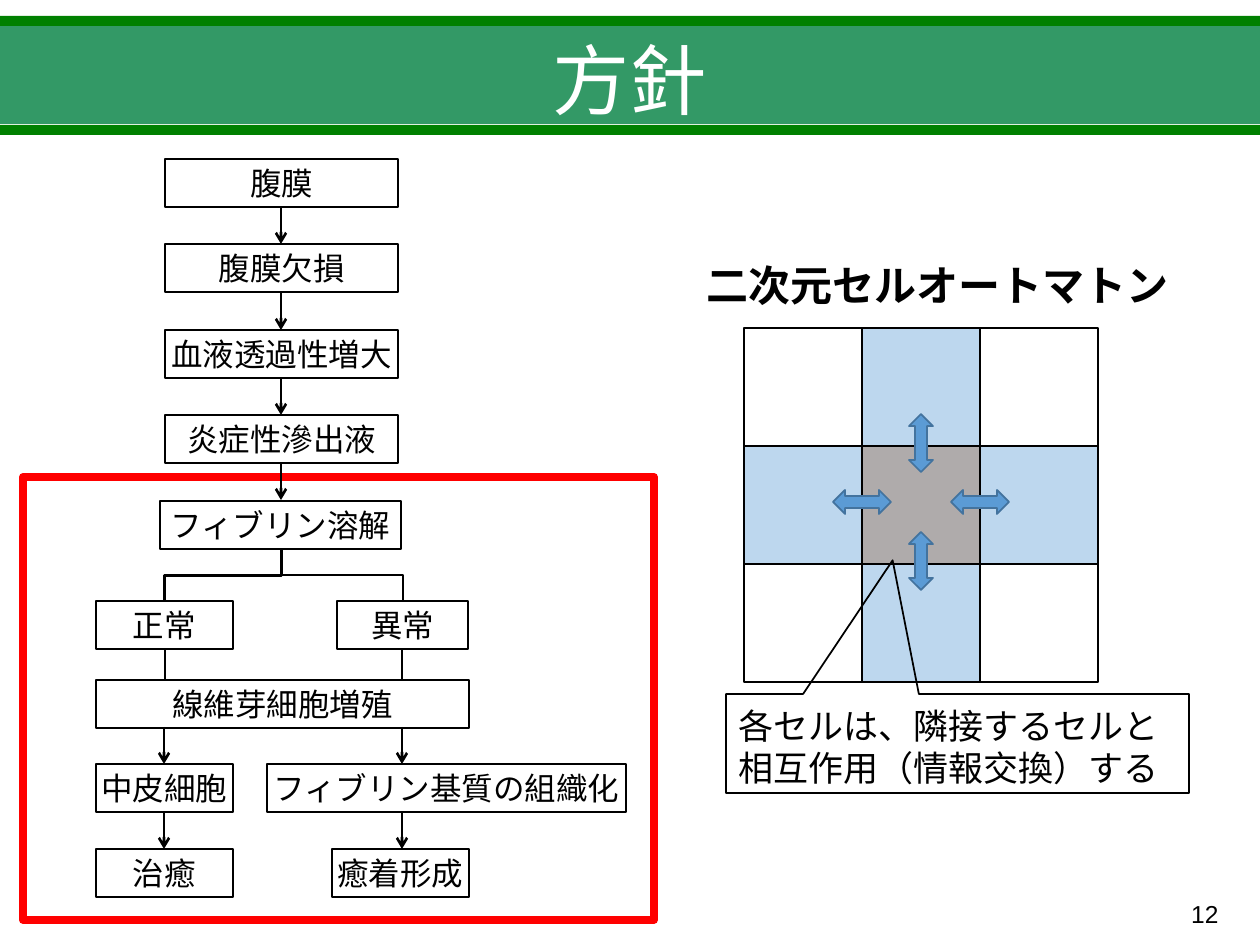
"""Build the policy slide: peritoneal healing flow and a 2D cellular automaton."""
from lxml import etree
from pptx import Presentation
from pptx import util as u
from pptx.dml.color import RGBColor
from pptx.enum import shapes, text
from pptx.oxml.ns import qn

THEME = {
    "band": "339966", "edge": "008000", "ink": "000000", "paper": "FFFFFF", "focus": "FF0000",
    "neighbour": "BDD7EE", "centre": "AFABAB", "arrow": "5B9BD5", "arrow_edge": "43739E",
    "font": "Arial", "title_font": "Noto Sans CJK JP",
    "title": 44, "heading": 24, "note": 20, "step": 18, "number": 14,
}
PX = 914400 / 126
KIND = shapes.MSO_SHAPE
ALIGN = text.PP_ALIGN
ANCHOR = text.MSO_ANCHOR


def draw(parent, kind, box, fill=None, line=None, width=1):
    shape = parent.add_shape(kind, *[round(v * PX) for v in box])
    shape.shadow.inherit = False
    for part, colour in ((shape.fill, fill), (shape.line.fill, line)):
        if colour:
            part.solid()
            part.fore_color.rgb = RGBColor.from_string(THEME[colour])
        else:
            part.background()
    if line:
        shape.line.width = u.Pt(width)
    return shape


def write(shape, lines, size, align=ALIGN.LEFT, anchor=ANCHOR.TOP, colour="ink", font="font", bold=False, inset=None):
    frame = shape.text_frame
    frame.text = "\n".join(lines)
    frame.word_wrap = False
    frame.vertical_anchor = anchor
    if inset is not None:
        for side in ("left", "top", "right", "bottom"):
            setattr(frame, f"margin_{side}", round(inset * PX))
    for paragraph in frame.paragraphs:
        paragraph.alignment = align
        look = {"name": THEME[font], "size": u.Pt(THEME[size]), "bold": bold}
        for run in paragraph.runs:
            for key, value in look.items():
                setattr(run.font, key, value)
            run.font.color.rgb = RGBColor.from_string(THEME[colour])


deck = Presentation()
deck.slide_width, deck.slide_height = round(1260 * PX), round(945 * PX)
slide = deck.slides.add_slide(deck.slide_layouts[5])
canvas = slide.shapes

for top, height, fill in ((24, 100, "band"), (125, 10, "edge"), (16, 10, "edge")):
    draw(canvas, KIND.RECTANGLE, (0, top, 1260, height), fill)

title = canvas.title
title.left, title.top, title.width, title.height = [round(v * PX) for v in (0, 35, 1260, 100)]
write(title, ["方針"], "title", ALIGN.CENTER, ANCHOR.MIDDLE, "paper", "title_font")
title.text_frame.paragraphs[0].line_spacing = 0.9
title.element.getparent().append(title.element)

number = canvas.add_textbox(*[round(v * PX) for v in (1162, 889, 69, 50)])
write(number, ["12"], "number", ALIGN.RIGHT, ANCHOR.MIDDLE)

draw(canvas, KIND.RECTANGLE, (23, 477, 631, 443), line="focus", width=4.5)

heading = canvas.add_textbox(*[round(v * PX) for v in (694, 253, 491, 63)])
write(heading, ["二次元セルオートマトン"], "heading", bold=True)

CELL, GRID_LEFT, GRID_TOP = 118, 744, 328
for row in range(3):
    for column in range(3):
        distance = abs(row - 1) + abs(column - 1)
        fill = ("centre", "neighbour", None)[distance]
        draw(canvas, KIND.RECTANGLE, (GRID_LEFT + column * CELL, GRID_TOP + row * CELL, CELL, CELL), fill, "ink")

centre_x, centre_y = GRID_LEFT + CELL * 3 // 2, GRID_TOP + CELL * 3 // 2 - 3
for dx, dy in ((-1, 0), (0, -1), (0, 1), (1, 0)):
    x, y = centre_x + dx * CELL // 2, centre_y + dy * CELL // 2
    exchange = draw(canvas, KIND.LEFT_RIGHT_ARROW, (x - 29, y - 12, 58, 24), "arrow", "arrow_edge")
    exchange.rotation = 90 * abs(dy)

note = canvas.add_group_shape().shapes
callout = draw(note, KIND.RECTANGULAR_CALLOUT, (726, 694, 463, 99), line="ink")
callout.adjustments[0], callout.adjustments[1] = -0.14, -1.85
explanation = note.add_textbox(*[round(v * PX) for v in (726, 698, 463, 97)])
write(explanation, ["各セルは、隣接するセルと", "相互作用（情報交換）する"], "note")

flow = canvas.add_group_shape().shapes
steps = [
    ("腹膜", 165, 159, 233), ("腹膜欠損", 165, 244, 233), ("血液透過性増大", 165, 330, 233),
    ("炎症性滲出液", 165, 415, 233), ("フィブリン溶解", 160, 501, 241),
    ("正常", 96, 601, 137), ("異常", 337, 601, 131), ("線維芽細胞増殖", 96, 680, 373),
    ("中皮細胞", 96, 764, 137), ("フィブリン基質の組織化", 267, 764, 359),
    ("治癒", 96, 849, 137), ("癒着形成", 332, 849, 137),
]
for label, left, top, width in steps:
    step = draw(flow, KIND.RECTANGLE, (left, top, width, 48), line="ink")
    write(step, [label], "step", ALIGN.CENTER, ANCHOR.MIDDLE, inset=5)

STRAIGHT, ELBOW = shapes.MSO_CONNECTOR.STRAIGHT, shapes.MSO_CONNECTOR.ELBOW
links = [(STRAIGHT, (281, top, 281, top + 37), 0, True) for top in (207, 293, 378, 463)]
links += [(STRAIGHT, (x, top, x, top + 37), 0, True) for x in (164, 402) for top in (727, 812)]
links += [(STRAIGHT, (x, 649, x, 679), 0, False) for x in (165, 402)]
links += [(ELBOW, (197, 517, 249, 634), 90, False), (ELBOW, (368, 514, 316, 636), 270, False)]
for kind, ends, turn, arrow in links:
    link = flow.add_connector(kind, *[round(v * PX) for v in ends])
    link.line.color.rgb = RGBColor.from_string(THEME["ink"])
    link.line.width = u.Pt(1.5)
    properties = link.element.spPr
    properties.get_or_add_xfrm().rot = turn
    if arrow:
        etree.SubElement(link.line._get_or_add_ln(), qn("a:tailEnd"), type="arrow")
    etree.SubElement(properties, qn("a:effectLst"))

deck.save("out.pptx")
